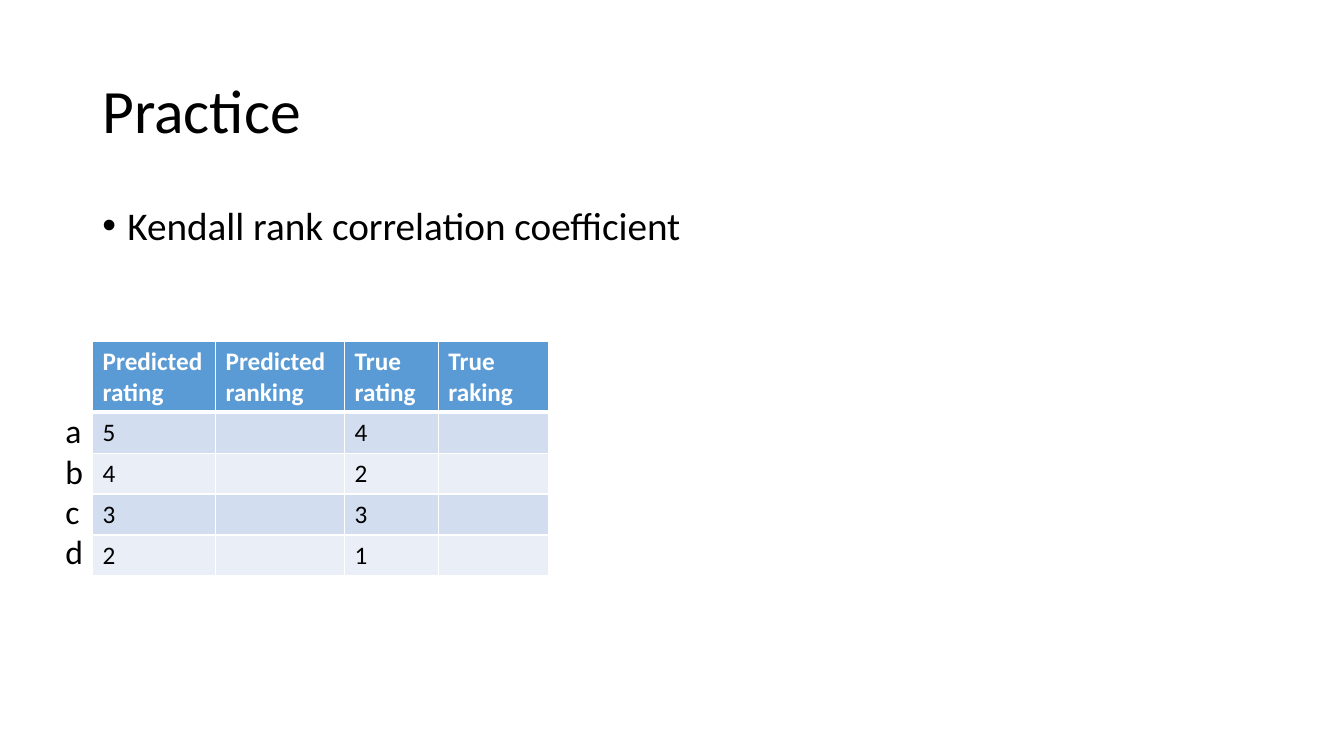
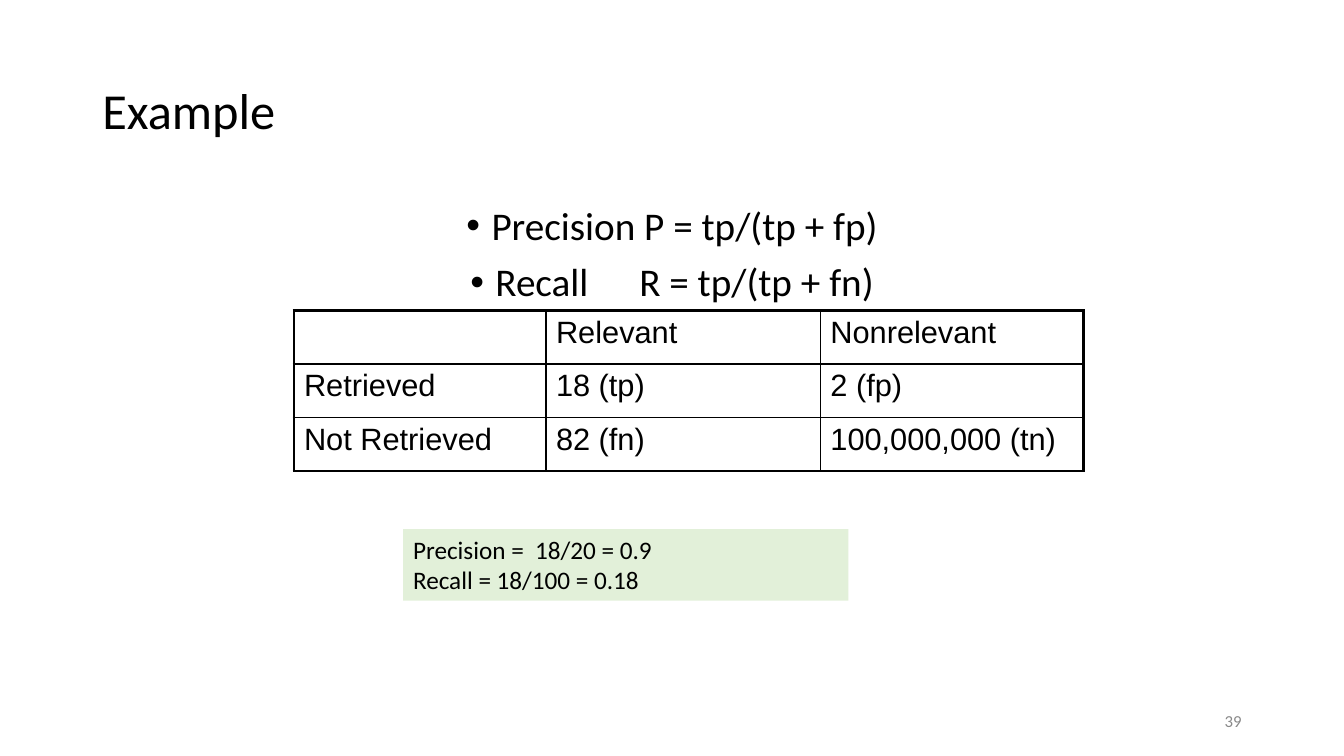
"""Build two slides on ranking correlation and on precision and recall."""
import pptx
import pptx.dml.color
import pptx.enum.text
import pptx.oxml
import pptx.oxml.ns
import pptx.util

Pt = pptx.util.Pt
RGB = pptx.dml.color.RGBColor
ALIGN = pptx.enum.text.PP_ALIGN
ANCHOR = pptx.enum.text.MSO_ANCHOR

BLACK = RGB(0x00, 0x00, 0x00)
WHITE = RGB(0xFF, 0xFF, 0xFF)
GREY = RGB(0x89, 0x89, 0x89)
HEADER_BLUE = RGB(0x5B, 0x9B, 0xD5)
BANDS = RGB(0xD2, 0xDE, 0xEF), RGB(0xEA, 0xEF, 0xF7)
PALE_GREEN = RGB(0xE2, 0xF0, 0xD9)

TITLE_AREA = 66, 28.8, 828, 104.4
BODY_AREA = 66, 144, 828, 342.7

RATINGS = [
    ["Predicted rating", "Predicted ranking", "True rating", "True raking"],
    ["5", "", "4", ""],
    ["4", "", "2", ""],
    ["3", "", "3", ""],
    ["2", "", "1", ""],
]
RATING_WIDTHS = 87.8, 92.2, 67, 78.5
RATING_HEIGHTS = 50.4, 29.2, 29.2, 29.2, 29.2
ITEMS = ["a", "b", "c", "d"]

CONFUSION = [
    ["", "Relevant", "Nonrelevant"],
    ["Retrieved", "18 (tp)", "2 (fp)"],
    ["Not Retrieved", "82 (fn)", "100,000,000 (tn)"],
]
CONFUSION_WIDTHS = 180, 196, 188
CONFUSION_HEIGHTS = 38.2, 38.2, 38.2
WIDE_SPACE = (" ", 30)
FORMULAS = ["Precision P = tp/(tp + fp)", ["Recall", WIDE_SPACE, "R = tp/(tp + fn)"]]
RESULTS = ["Precision =  18/20 = 0.9", "Recall = 18/100 = 0.18"]


def write(frame, lines, *, size=18, font="Calibri", color=BLACK, bold=False,
          align=ALIGN.LEFT, anchor=ANCHOR.TOP, leading=None, before=0, bullet=False):
    frame.word_wrap = True
    frame.vertical_anchor = anchor
    for index, line in enumerate(lines):
        paragraph = frame.paragraphs[0] if index == 0 else frame.add_paragraph()
        paragraph.alignment = align
        paragraph.space_before = Pt(before)
        if leading:
            paragraph.line_spacing = leading
        if bullet:
            properties = paragraph._p.get_or_add_pPr()
            properties.set("marL", str(Pt(18)))
            properties.set("indent", str(Pt(-18)))
            for tag, key, value in (("buFont", "typeface", "Arial"), ("buChar", "char", "•")):
                mark = pptx.oxml.ns.qn("a:" + tag)
                properties.append(properties.makeelement(mark, {key: value}))
        for part in [line] if isinstance(line, str) else line:
            words, tracking = (part, 0) if isinstance(part, str) else part
            run = paragraph.add_run()
            run.text = words
            run.font.name, run.font.size, run.font.bold = font, Pt(size), bold
            run.font.color.rgb = color
            if tracking:
                run._r.get_or_add_rPr().set("spc", str(tracking * 100))


def add_text(slide, area, lines, fill=None, **style):
    box = slide.shapes.add_textbox(*map(Pt, area))
    if fill is not None:
        box.fill.solid()
        box.fill.fore_color.rgb = fill
    write(box.text_frame, lines, **style)


def add_slide(deck, title, title_size, points, align=ALIGN.LEFT):
    slide = deck.slides.add_slide(deck.slide_layouts[6])
    add_text(slide, TITLE_AREA, [title], size=title_size, anchor=ANCHOR.MIDDLE, leading=0.9)
    add_text(slide, BODY_AREA, points, size=28, align=align,
             leading=0.9, before=10, bullet=True)
    return slide


def set_borders(cell, color, widths):
    properties = cell._tc.get_or_add_tcPr()
    for side, width in zip("LRTB", widths):
        properties.append(pptx.oxml.parse_xml(
            f'<a:ln{side} {pptx.oxml.ns.nsdecls("a")} w="{Pt(width)}">'
            f'<a:solidFill><a:srgbClr val="{color}"/></a:solidFill></a:ln{side}>'))


def add_grid(slide, left, top, widths, heights, rows, look):
    grid = slide.shapes.add_table(len(rows), len(widths), Pt(left), Pt(top),
                                  Pt(sum(widths)), Pt(sum(heights))).table
    grid.first_row = grid.horz_banding = False
    for column, width in zip(grid.columns, widths):
        column.width = Pt(width)
    for r, (row, height) in enumerate(zip(rows, heights)):
        grid.rows[r].height = Pt(height)
        for c, words in enumerate(row):
            cell = grid.cell(r, c)
            line_color, line_widths, fill, style = look(r, c)
            set_borders(cell, line_color, line_widths)
            if fill is None:
                cell.fill.background()
            else:
                cell.fill.solid()
                cell.fill.fore_color.rgb = fill
            if words:
                write(cell.text_frame, [words], **style)


def rating_look(r, c):
    if r == 0:
        return WHITE, (1, 1, 1, 3), HEADER_BLUE, {"color": WHITE, "bold": True}
    return WHITE, (1, 1, 3 if r == 1 else 1, 1), BANDS[(r - 1) % 2], {}


def confusion_look(r, c):
    outer = c == 0, c == 2, r == 0, r == 2
    widths = [2.25 if edge else 1 for edge in outer]
    return BLACK, widths, None, {"size": 22, "font": "Arial"}


def main():
    deck = pptx.Presentation()
    deck.slide_width, deck.slide_height = Pt(960), Pt(540)

    practice = add_slide(deck, "Practice", 44, ["Kendall rank correlation coefficient"])
    add_grid(practice, 66.2, 244.1, RATING_WIDTHS, RATING_HEIGHTS, RATINGS, rating_look)
    add_text(practice, (39.6, 289.4, 19.4, 152.6), ITEMS, size=24)

    example = add_slide(deck, "Example", 36, FORMULAS, ALIGN.CENTER)
    add_grid(example, 210, 221.8, CONFUSION_WIDTHS, CONFUSION_HEIGHTS, CONFUSION,
             confusion_look)
    add_text(example, (288, 378, 318, 51), RESULTS, fill=PALE_GREEN)
    add_text(example, (678, 500.5, 216, 28.8), ["39"], size=12, color=GREY,
             align=ALIGN.RIGHT, anchor=ANCHOR.MIDDLE)

    deck.save("out.pptx")


if __name__ == "__main__":
    main()
